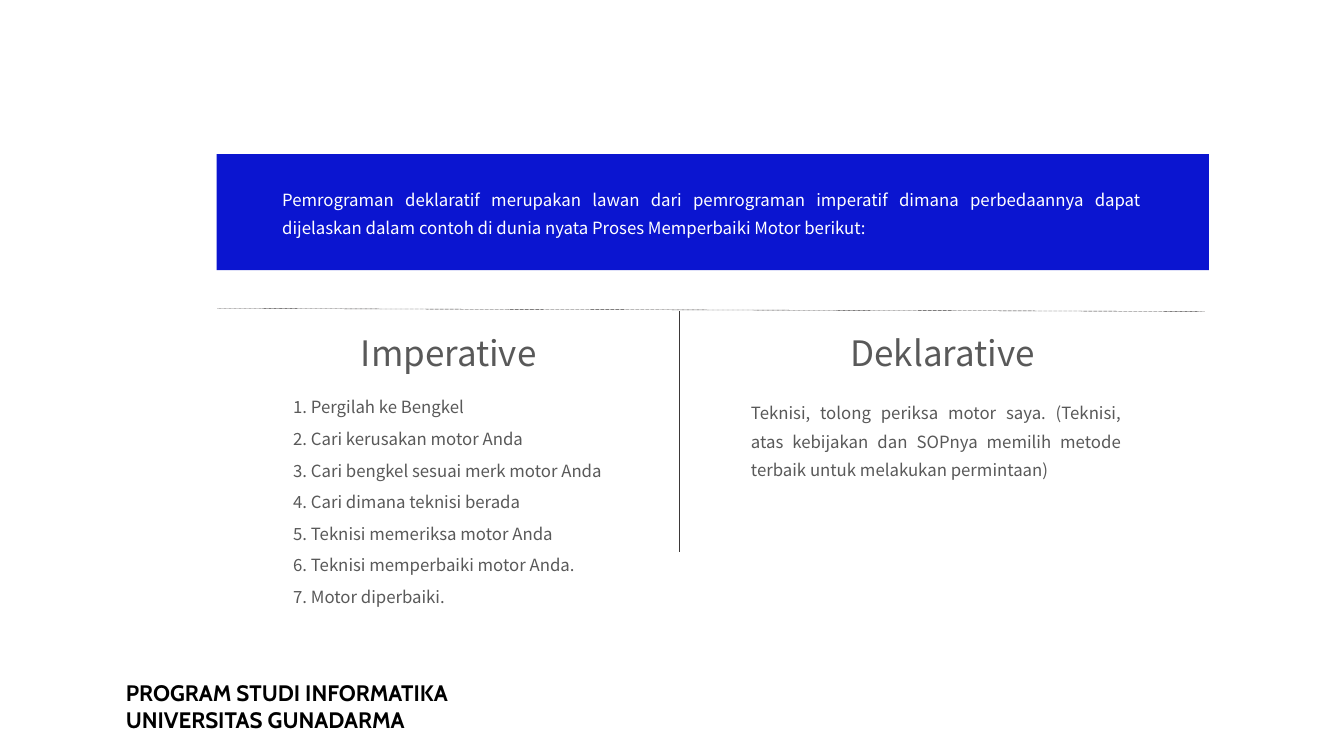
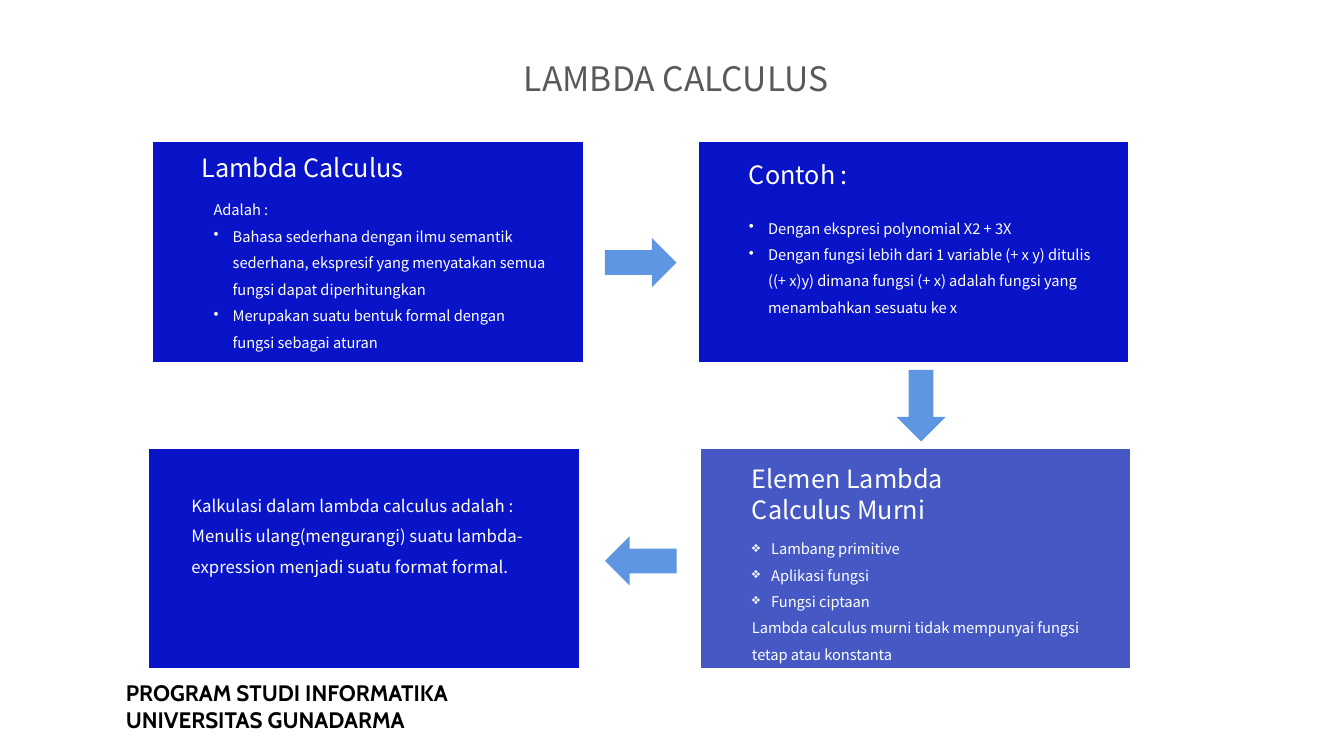
import lxml.etree
import pptx
import pptx.dml.color
import pptx.enum.dml
import pptx.enum.shapes
import pptx.enum.text
import pptx.oxml.ns
import pptx.util

Inches = pptx.util.Inches
Pt = pptx.util.Pt
RGBColor = pptx.dml.color.RGBColor
Align = pptx.enum.text.PP_ALIGN
Shape = pptx.enum.shapes.MSO_SHAPE
qn = pptx.oxml.ns.qn

# Shared colours, fonts and sizes
BLACK = RGBColor(0x00, 0x00, 0x00)
WHITE = RGBColor(0xFF, 0xFF, 0xFF)
GREY = RGBColor(0x59, 0x59, 0x59)
RULE = RGBColor(0x3B, 0x38, 0x38)
BAND = RGBColor(0x0B, 0x15, 0xD0)
BLUE = RGBColor(0x09, 0x13, 0xC8)
PALE = RGBColor(0x45, 0x58, 0xC4)
ARROW = RGBColor(0x5E, 0x96, 0xE1)
FONT = "Noto Sans CJK SC"
BOX_W, BOX_H = 4.26, 2.18
ARROW_W, ARROW_H = 0.71, 0.49
HANG = Inches(0.19)


def add_run(para, text, size, color, font=FONT, bold=False):
    run = para.add_run()
    run.text = text
    run.font.name = font
    run.font.size = Pt(size)
    run.font.bold = bold
    run.font.color.rgb = color


def add_bullet(para, mark):
    props = para._p.get_or_add_pPr()
    props.set("marL", str(HANG))
    props.set("indent", str(-HANG))
    lxml.etree.SubElement(props, qn("a:buChar")).set("char", mark)


def add_text(slide, area, lines, size, color, align=Align.LEFT,
             space=None, before=0, font=FONT, bold=False):
    """Each line is a string, or a (bullet, string) pair."""
    box = slide.shapes.add_textbox(*map(Inches, area))
    frame = box.text_frame
    frame.word_wrap = True
    frame.auto_size = pptx.enum.text.MSO_AUTO_SIZE.SHAPE_TO_FIT_TEXT
    for i, line in enumerate(lines):
        para = frame.paragraphs[0] if i == 0 else frame.add_paragraph()
        para.alignment = align
        para.line_spacing = space
        para.space_before = Pt(before)
        mark, text = ("", line) if isinstance(line, str) else line
        if mark:
            add_bullet(para, mark)
        add_run(para, text, size, color, font, bold)


def add_body(slide, area, lines, color=GREY):
    add_text(slide, area, lines, 12, color, Align.JUSTIFY, 1.4, 2.4)


def add_block(slide, kind, area, color, turn=0):
    block = slide.shapes.add_shape(kind, *map(Inches, area))
    block.shadow.inherit = False
    block.fill.solid()
    block.fill.fore_color.rgb = color
    block.line.fill.background()
    block.rotation = turn


def add_rule(slide, *ends):
    rule = slide.shapes.add_connector(
        pptx.enum.shapes.MSO_CONNECTOR.STRAIGHT, *map(Inches, ends))
    rule.line.color.rgb = RULE
    rule.line.width = Pt(0.25)
    rule.line.dash_style = pptx.enum.dml.MSO_LINE.ROUND_DOT
    lxml.etree.SubElement(rule._element.spPr, qn("a:effectLst"))


def add_title(slide, text):
    title = slide.shapes.title
    title.left, title.top = Inches(4.72), Inches(0.52)
    title.width, title.height = Inches(3.97), Inches(0.5)
    frame = title.text_frame
    frame.auto_size = pptx.enum.text.MSO_AUTO_SIZE.NONE
    frame.vertical_anchor = pptx.enum.text.MSO_ANCHOR.TOP
    frame.paragraphs[0].alignment = Align.CENTER
    add_run(frame.paragraphs[0], text, 24, GREY)


def add_slide(deck, layout):
    slide = deck.slides.add_slide(deck.slide_layouts.get_by_name(layout))
    add_text(slide, (1.15, 6.69, 6.56, 0.64),
             ["PROGRAM STUDI INFORMATIKA", "UNIVERSITAS GUNADARMA"],
             16, BLACK, font="Cabin", bold=True)
    return slide


def add_card(slide, left, top, color, head, head_at, lines, body_at, size=10.5):
    add_block(slide, Shape.FLOWCHART_PROCESS, (left, top, BOX_W, BOX_H), color)
    if head:
        add_text(slide, head_at, [head], 18, WHITE)
    add_text(slide, body_at, lines, size, WHITE, space=1.5)


def compare_slide(deck):
    slide = add_slide(deck, "Blank")

    # Intro band
    add_block(slide, Shape.RECTANGLE, (2.15, 1.53, 9.84, 1.15), BAND)
    add_body(slide, (2.7, 1.75, 8.72, 0.64), [
        "Pemrograman deklaratif merupakan lawan dari pemrograman imperatif "
        "dimana perbedaannya dapat dijelaskan dalam contoh di dunia nyata "
        "Proses Memperbaiki Motor berikut:"], WHITE)

    # Dividers
    add_rule(slide, 11.95, 3.09, 2.15, 3.06)
    add_rule(slide, 6.74, 3.09, 6.74, 5.47)

    # Two columns
    for left, head in ((2, "Imperative"), (6.9, "Deklarative")):
        add_text(slide, (left, 3.24, 4.9, 0.52), [head], 25, GREY, Align.CENTER)
    steps = ["Pergilah ke Bengkel", "Cari kerusakan motor Anda",
             "Cari bengkel sesuai merk motor Anda",
             "Cari dimana teknisi berada", "Teknisi memeriksa motor Anda",
             "Teknisi memperbaiki motor Anda.", "Motor diperbaiki."]
    add_body(slide, (2.81, 3.81, 3.87, 2.29),
             [f"{n}. {step}" for n, step in enumerate(steps, 1)])
    add_body(slide, (7.35, 3.87, 3.87, 0.92), [
        "Teknisi, tolong periksa motor saya. (Teknisi, atas kebijakan dan "
        "SOPnya memilih metode terbaik untuk melakukan permintaan)"])


def lambda_slide(deck):
    slide = add_slide(deck, "Title Only")
    add_title(slide, "LAMBDA CALCULUS")

    # Cards, clockwise from top left
    add_card(slide, 1.52, 1.41, BLUE,
             "Lambda Calculus", (1.9, 1.46, 3.12, 0.4),
             ["Adalah :",
              ("•", "Bahasa sederhana dengan ilmu semantik sederhana, "
                    "ekspresif yang menyatakan semua fungsi dapat "
                    "diperhitungkan"),
              ("•", "Merupakan suatu bentuk formal dengan fungsi sebagai "
                    "aturan")],
             (2.02, 1.86, 3.5, 1.66))
    add_card(slide, 6.93, 1.41, BLUE,
             "Contoh :", (7.33, 1.53, 3.12, 0.4),
             [("•", "Dengan ekspresi polynomial X2 + 3X"),
              ("•", "Dengan fungsi lebih dari 1 variable (+ x y) ditulis "
                    "((+ x)y) dimana fungsi (+ x) adalah fungsi yang "
                    "menambahkan sesuatu ke x")],
             (7.33, 2.04, 3.61, 1.13))
    add_card(slide, 6.95, 4.45, PALE,
             "Elemen Lambda Calculus Murni", (7.36, 4.55, 3.12, 0.71),
             [("❖", "Lambang primitive"), ("❖", "Aplikasi fungsi"),
              ("❖", "Fungsi ciptaan"),
              "Lambda calculus murni tidak mempunyai fungsi tetap atau "
              "konstanta"],
             (7.36, 5.22, 3.61, 1.4))
    add_card(slide, 1.48, 4.45, BLUE, None, None,
             ["Kalkulasi dalam lambda calculus adalah :",
              "Menulis ulang(mengurangi) suatu lambda-expression menjadi "
              "suatu format formal."],
             (1.8, 4.77, 3.61, 1.58), size=12)

    # Arrows between cards
    for left, top, turn in ((6, 2.36, 0), (8.78, 3.78, 90), (6, 5.32, 180)):
        add_block(slide, Shape.RIGHT_ARROW, (left, top, ARROW_W, ARROW_H),
                  ARROW, turn)


def main():
    deck = pptx.Presentation()
    deck.slide_width = Inches(13.33)
    deck.slide_height = Inches(7.5)
    compare_slide(deck)
    lambda_slide(deck)
    deck.save("out.pptx")


if __name__ == "__main__":
    main()
